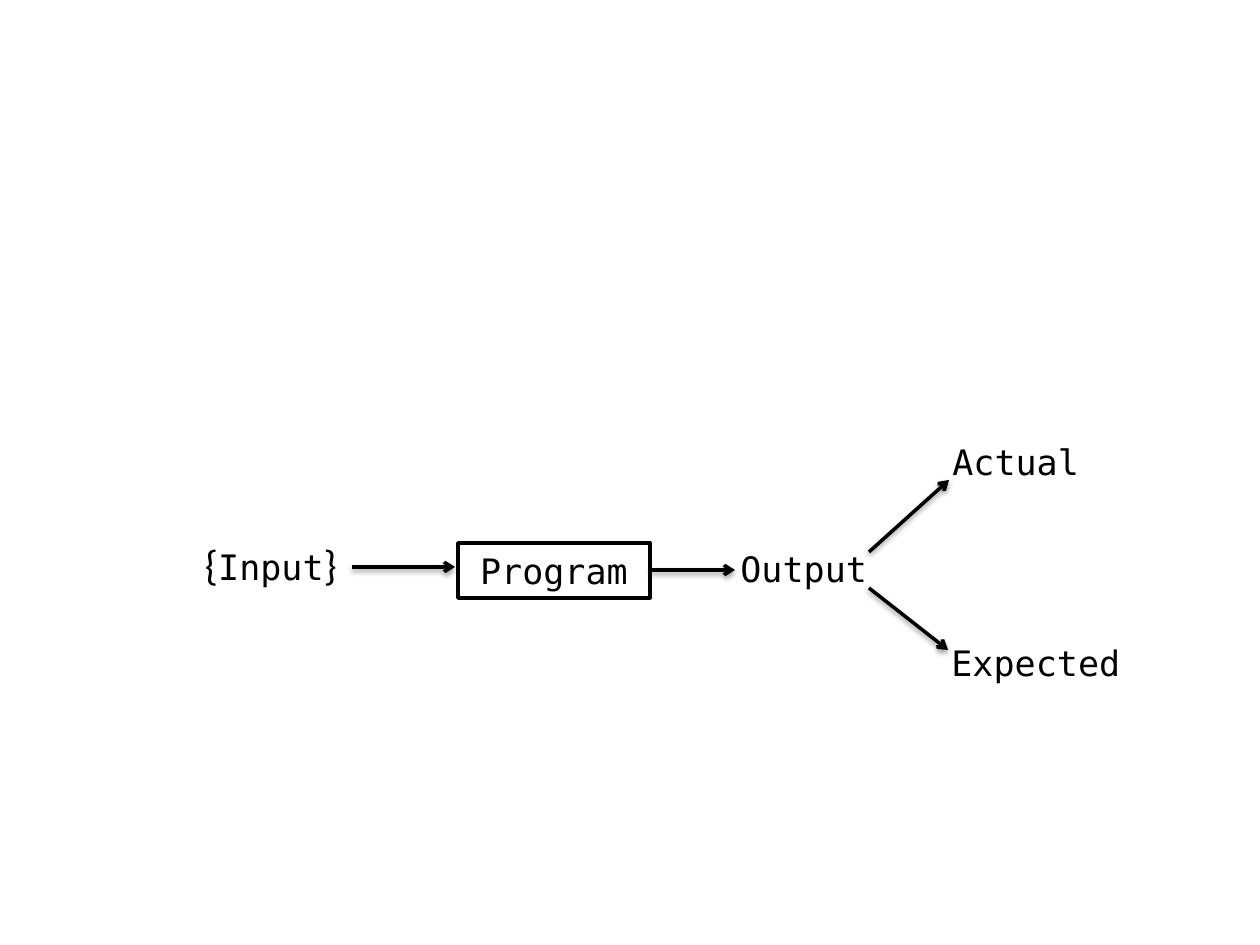
"""Build a slide showing a program's input, output and the two results compared."""
import pptx
import pptx.util
import pptx.dml.color
import pptx.enum.shapes
import pptx.enum.text
import pptx.oxml
import pptx.oxml.ns

PIXEL = 914400 // 126
MONO = ("DejaVu Sans Mono", 20)
BRACE = ("Calibri", 24)
LEFT = pptx.enum.text.PP_ALIGN.LEFT
CENTER = pptx.enum.text.PP_ALIGN.CENTER
SHADOW = (
    f'<a:effectLst {pptx.oxml.ns.nsdecls("a")}>'
    '<a:outerShdw blurRad="40000" dist="20000" dir="5400000" rotWithShape="0">'
    '<a:srgbClr val="000000"><a:alpha val="38000"/></a:srgbClr>'
    '</a:outerShdw></a:effectLst>'
)


def color(value):
    return pptx.dml.color.RGBColor.from_string(value)


def write(box, spans, alignment):
    frame = box.text_frame
    frame_format = {
        "word_wrap": False,
        "auto_size": pptx.enum.text.MSO_AUTO_SIZE.SHAPE_TO_FIT_TEXT,
    }
    for name, value in frame_format.items():
        setattr(frame, name, value)
    para = frame.paragraphs[0]
    para.alignment = alignment
    for text, (font_name, size) in spans:
        span = para.add_run()
        span.text = text
        font_format = {"name": font_name, "size": pptx.util.Pt(size)}
        for name, value in font_format.items():
            setattr(span.font, name, value)
        span.font.color.rgb = color("000000")


deck = pptx.Presentation()
deck.slide_width = 1260 * PIXEL
deck.slide_height = 945 * PIXEL
page = deck.slides.add_slide(deck.slide_layouts[6])

program = page.shapes.add_shape(
    pptx.enum.shapes.MSO_SHAPE.RECTANGLE,
    *(length * PIXEL for length in (458, 543, 192, 55)))
program.shadow.inherit = False
program.fill.solid()
program.fill.fore_color.rgb = color("FFFFFF")
program.line.color.rgb = color("000000")
program.line.width = pptx.util.Pt(2)
write(program, [("Program", MONO)], CENTER)

labels = [
    ((184, 532, 174, 63), [("{", BRACE), ("Input", MONO), ("}", BRACE)], CENTER),
    ((728, 541, 155, 55), [("Output", MONO)], LEFT),
    ((940, 434, 174, 55), [("Actual", MONO)], LEFT),
    ((939, 635, 197, 55), [("Expected", MONO)], LEFT),
]
for place, spans, alignment in labels:
    label = page.shapes.add_textbox(*(length * PIXEL for length in place))
    write(label, spans, alignment)

arrows = [
    (352, 567, 455, 567),
    (650, 570, 735, 570),
    (869, 552, 949, 480),
    (869, 588, 948, 650),
]
for ends in arrows:
    arrow = page.shapes.add_connector(
        pptx.enum.shapes.MSO_CONNECTOR.STRAIGHT, *(length * PIXEL for length in ends))
    arrow.line.color.rgb = color("000000")
    arrow.line.width = pptx.util.Pt(2)
    properties = arrow._element.spPr
    line = properties.find(pptx.oxml.ns.qn("a:ln"))
    line.append(pptx.oxml.parse_xml(
        f'<a:tailEnd {pptx.oxml.ns.nsdecls("a")} type="arrow"/>'))
    properties.append(pptx.oxml.parse_xml(SHADOW))

deck.save("out.pptx")
